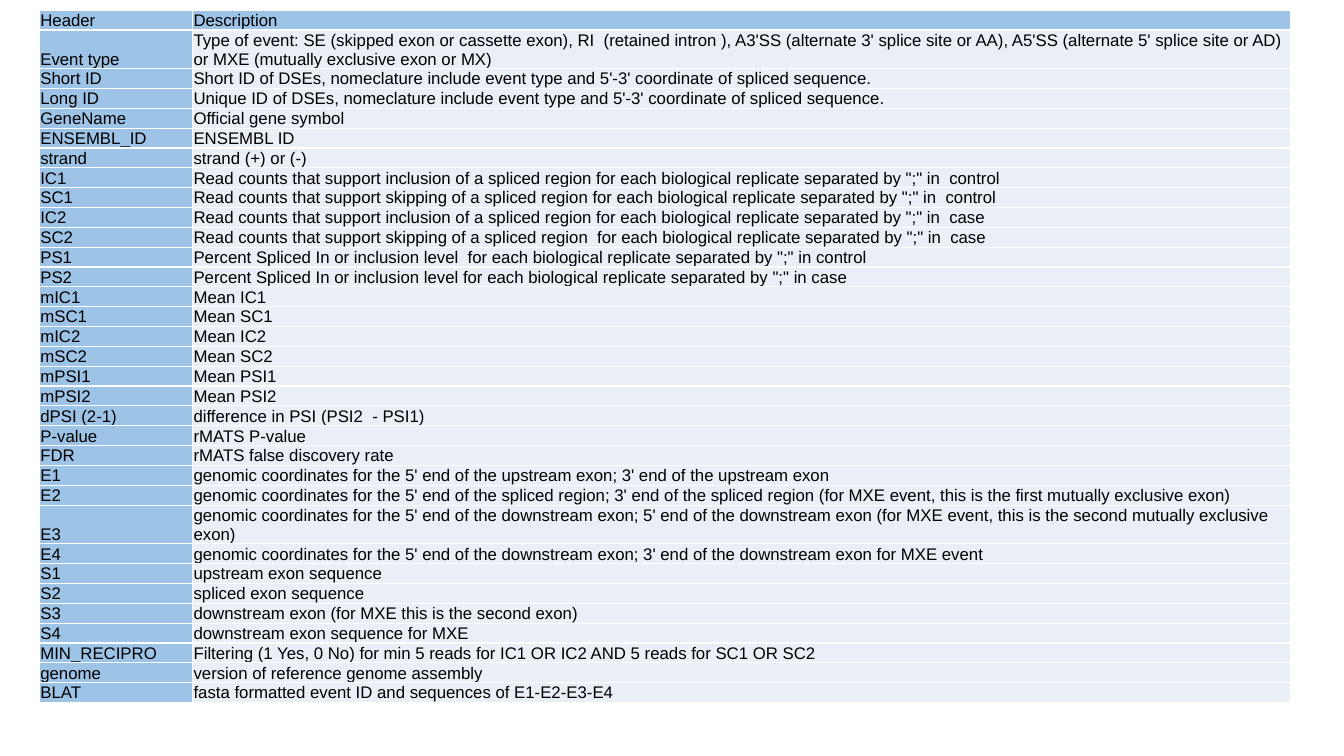
from lxml.etree import SubElement, fromstring
from pptx import Presentation
from pptx.dml.color import RGBColor
from pptx.enum.text import MSO_ANCHOR as ANCHOR
from pptx.oxml.ns import nsdecls
from pptx.util import Inches, Pt

HEADER_BLUE = RGBColor(0x9D, 0xC3, 0xE6)
PALE_BLUE = RGBColor(0xEA, 0xEF, 0xF7)
BLACK = RGBColor(0, 0, 0)
WHITE = RGBColor(0xFF, 0xFF, 0xFF)

FIELDS = [
    ("Header", "Description"),
    ("Event type", "Type of event: SE (skipped exon or cassette exon), RI  (retained intron ), "
     "A3'SS (alternate 3' splice site or AA), A5'SS (alternate 5' splice site or AD) "
     "or MXE (mutually exclusive exon or MX)"),
    ("Short ID", "Short ID of DSEs, nomeclature include event type and 5'-3' coordinate of spliced sequence."),
    ("Long ID", "Unique ID of DSEs, nomeclature include event type and 5'-3' coordinate of spliced sequence."),
    ("GeneName", "Official gene symbol"),
    ("ENSEMBL_ID", "ENSEMBL ID"),
    ("strand", "strand (+) or (-)"),
    ("IC1", 'Read counts that support inclusion of a spliced region for each biological replicate separated by ";" in  control'),
    ("SC1", 'Read counts that support skipping of a spliced region for each biological replicate separated by ";" in  control'),
    ("IC2", 'Read counts that support inclusion of a spliced region for each biological replicate separated by ";" in  case'),
    ("SC2", 'Read counts that support skipping of a spliced region  for each biological replicate separated by ";" in  case'),
    ("PS1", 'Percent Spliced In or inclusion level  for each biological replicate separated by ";" in control'),
    ("PS2", 'Percent Spliced In or inclusion level for each biological replicate separated by ";" in case'),
    ("mIC1", "Mean IC1"),
    ("mSC1", "Mean SC1"),
    ("mIC2", "Mean IC2"),
    ("mSC2", "Mean SC2"),
    ("mPSI1", "Mean PSI1"),
    ("mPSI2", "Mean PSI2"),
    ("dPSI (2-1)", "difference in PSI (PSI2  - PSI1)"),
    ("P-value", "rMATS P-value"),
    ("FDR", "rMATS false discovery rate"),
    ("E1", "genomic coordinates for the 5' end of the upstream exon; 3' end of the upstream exon"),
    ("E2", "genomic coordinates for the 5' end of the spliced region; 3' end of the spliced region "
     "(for MXE event, this is the first mutually exclusive exon)"),
    ("E3", "genomic coordinates for the 5' end of the downstream exon; 5' end of the downstream exon "
     "(for MXE event, this is the second mutually exclusive exon)"),
    ("E4", "genomic coordinates for the 5' end of the downstream exon; 3' end of the downstream exon for MXE event"),
    ("S1", "upstream exon sequence"),
    ("S2", "spliced exon sequence"),
    ("S3", "downstream exon (for MXE this is the second exon)"),
    ("S4", "downstream exon sequence for MXE"),
    ("MIN_RECIPRO", "Filtering (1 Yes, 0 No) for min 5 reads for IC1 OR IC2 AND 5 reads for SC1 OR SC2"),
    ("genome", "version of reference genome assembly"),
    ("BLAT", "fasta formatted event ID and sequences of E1-E2-E3-E4"),
]
BOTTOM_ALIGNED = {"Header", "S2", "S3", "S4", "MIN_RECIPRO", "BLAT"}
TALL_ROW = "Event type"
LEFT, TOP, HEIGHT = Inches(0.39), Inches(0.1), Inches(7.27)
COL_WIDTHS = [Inches(1.52), Inches(10.89)]
ROW_HEIGHT = Inches(0.14)
MARGINS = {"margin_left": Inches(0.01), "margin_right": Inches(0.01),
           "margin_top": Inches(0.01), "margin_bottom": 0}
FONT = {"name": "Arial", "size": Pt(12), "bold": False}


def set_borders(cell, color, width):
    """Draw a solid line on all four sides of a cell."""
    tcPr = cell._tc.get_or_add_tcPr()
    for i, side in enumerate("LRTB"):
        tcPr.insert(i, fromstring(
            f'<a:ln{side} {nsdecls("a")} w="{width}"><a:solidFill>'
            f'<a:srgbClr val="{color}"/></a:solidFill></a:ln{side}>'))


def fill_cell(cell, text, fill, anchor):
    """Write text into a cell and format it."""
    for name, value in {**MARGINS, "vertical_anchor": anchor}.items():
        setattr(cell, name, value)
    cell.fill.solid()
    cell.fill.fore_color.rgb = fill
    set_borders(cell, WHITE, Pt(1))
    r = cell.text_frame.paragraphs[0].add_run()
    r.text = text
    for name, value in FONT.items():
        setattr(r.font, name, value)
    r.font.color.rgb = BLACK


def add_field_table(s):
    """Add the table that explains each column header."""
    frame = s.shapes.add_table(len(FIELDS), len(COL_WIDTHS), LEFT, TOP, sum(COL_WIDTHS), HEIGHT)
    table = frame.table
    table.first_row = table.horz_banding = False
    for col, width in zip(table.columns, COL_WIDTHS):
        col.width = width
    for i, (field, description) in enumerate(FIELDS):
        row = table.rows[i]
        row.height = ROW_HEIGHT * (2 if field == TALL_ROW else 1)
        anchor = ANCHOR.BOTTOM if field in BOTTOM_ALIGNED else ANCHOR.MIDDLE
        fill_cell(row.cells[0], field, HEADER_BLUE, ANCHOR.BOTTOM)
        fill_cell(row.cells[1], description, PALE_BLUE if i else HEADER_BLUE, anchor)
    frame.height = HEIGHT


prs = Presentation()
prs.slide_width, prs.slide_height = Inches(13.33), Inches(7.5)
s = prs.slides.add_slide(prs.slide_layouts[6])
add_field_table(s)
prs.save("out.pptx")
